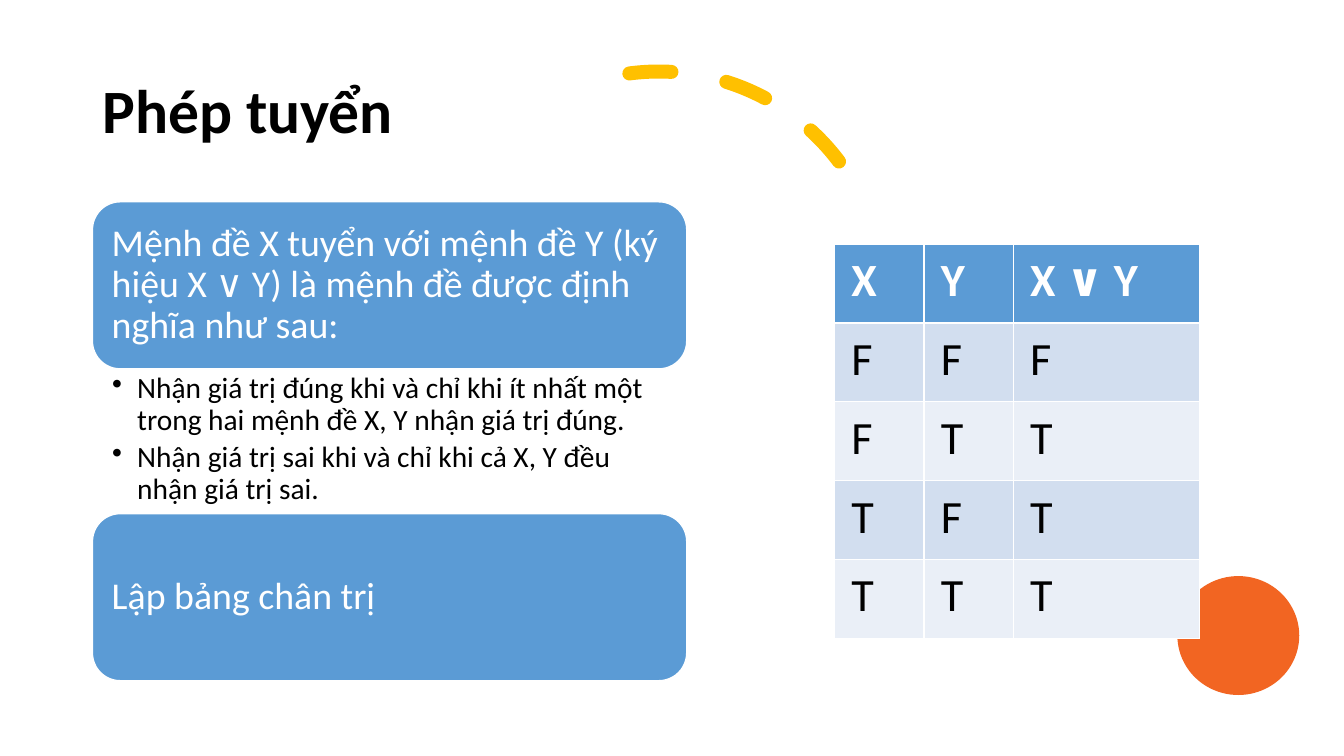
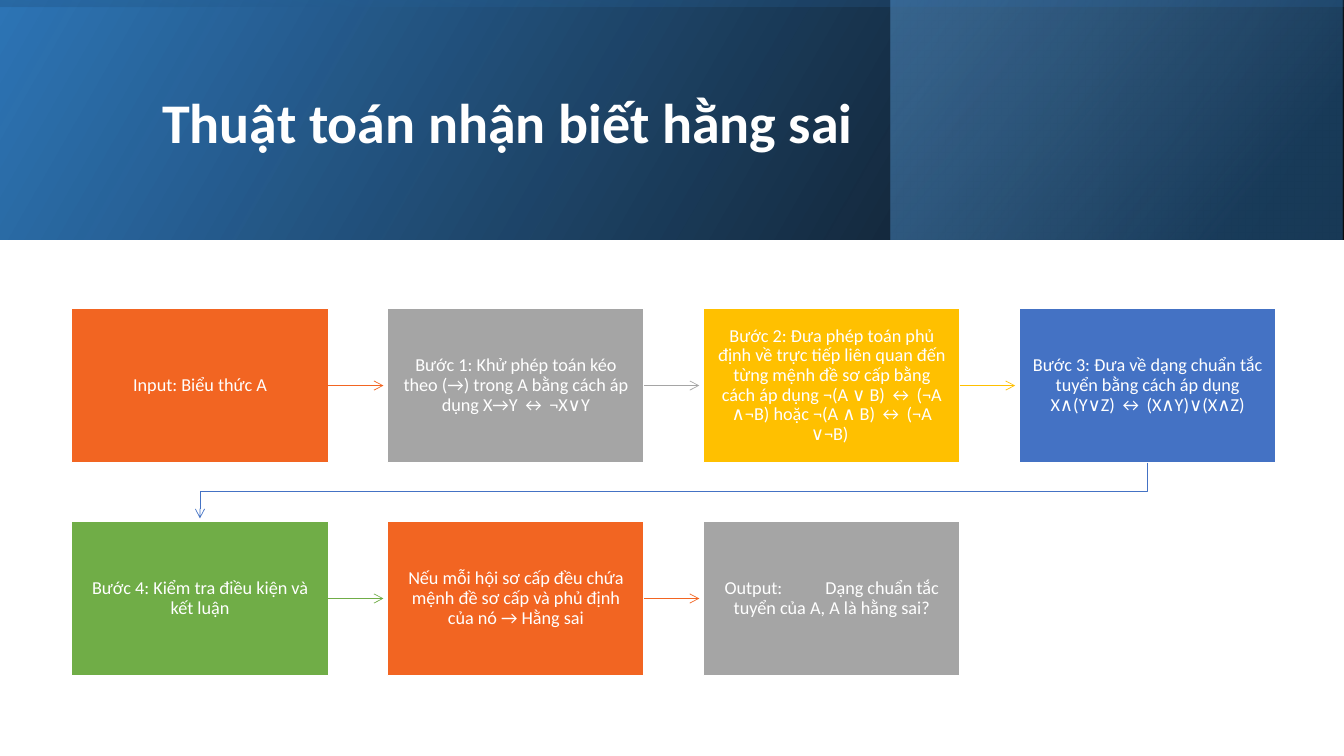
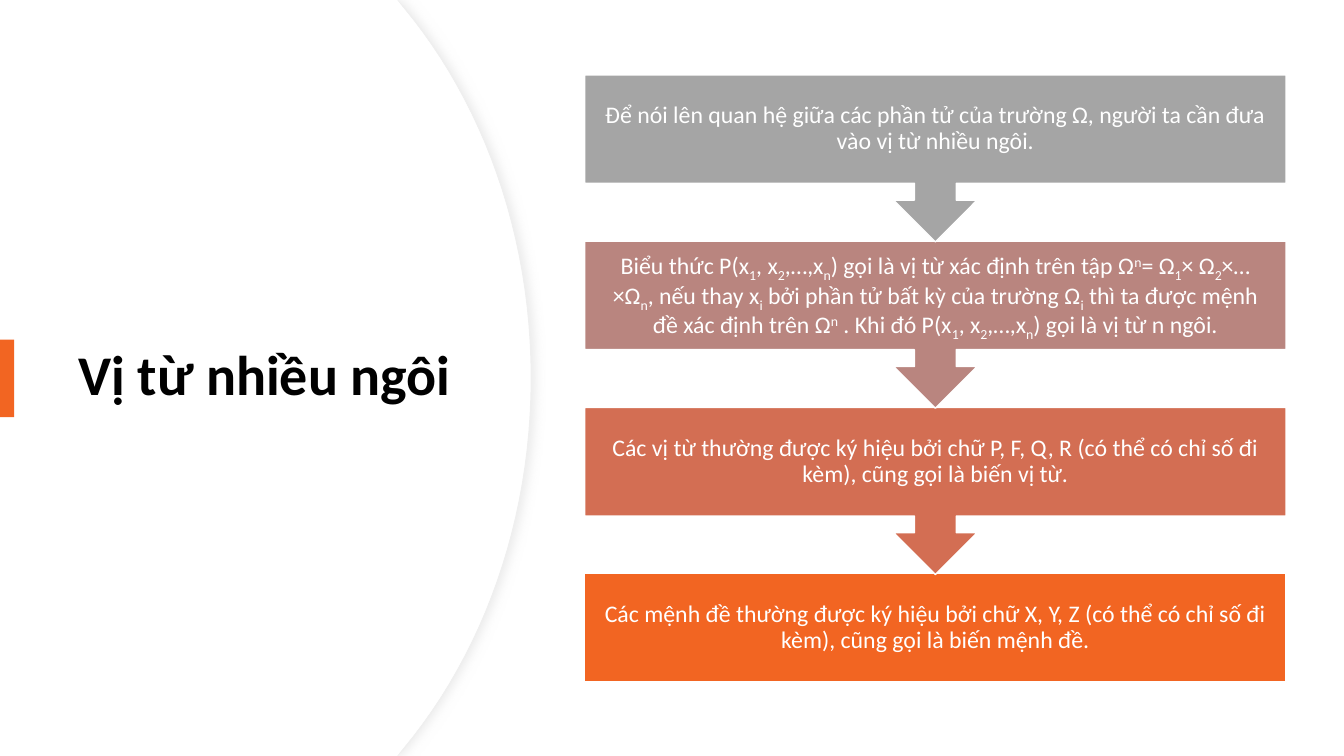
from dataclasses import dataclass

from pptx import Presentation
from pptx.dml.color import RGBColor
from pptx.enum.dml import MSO_LINE
from pptx.enum.shapes import MSO_CONNECTOR as CONN, MSO_SHAPE as SHAPE
from pptx.enum.text import MSO_ANCHOR as ANCHOR, PP_ALIGN as ALIGN
from pptx.oxml import parse_xml
from pptx.oxml.ns import nsdecls, qn
from pptx.util import Emu, Inches, Pt

A = nsdecls("a")
BASELINES = {"_": "-25000", "^": "30000"}


@dataclass(frozen=True)
class Theme:
    font: str = "Calibri"
    white: str = "FFFFFF"
    black: str = "000000"
    blue: str = "5B9BD5"
    mid_blue: str = "2E75B6"
    navy: str = "1F4E79"
    royal: str = "4472C4"
    orange: str = "F26522"
    terracotta: str = "D36E53"
    rose: str = "B9857F"
    gray: str = "A5A5A5"
    yellow: str = "FFC000"
    green: str = "70AD47"
    band_dark: str = "D2DEEF"
    band_light: str = "EAEFF7"
    edge: str = "EFEFEF"
    shade: str = "D9D9D9"
    title: int = 44
    title_small: int = 40
    cell: int = 33
    lead: int = 27
    bullet: int = 21
    body: int = 17
    step: int = 13


class Deck:
    """Draws themed elements, placed in percent of the slide's width and height."""

    def __init__(self, theme):
        self.t = theme
        self.prs = Presentation()
        self.prs.slide_width, self.prs.slide_height = Inches(13.33), Inches(7.5)
        self.s = None

    def new_slide(self):
        self.s = self.prs.slides.add_slide(self.prs.slide_layouts[6])

    def x(self, share):
        return Emu(round(self.prs.slide_width * share / 100))

    def y(self, share):
        return Emu(round(self.prs.slide_height * share / 100))

    def frame(self, x, y, w, h):
        return self.x(x), self.y(y), self.x(w), self.y(h)

    def paint(self, sp, fill=None, line=None, width=1):
        sp.shadow.inherit = False
        if fill:
            sp.fill.solid()
            sp.fill.fore_color.rgb = RGBColor.from_string(fill)
        else:
            sp.fill.background()
        if line:
            self.stroke(sp, line, width)
        else:
            sp.line.fill.background()

    def stroke(self, sp, color, width):
        sp.line.color.rgb = RGBColor.from_string(color)
        sp.line.width = Pt(width)

    def arrowhead(self, sp):
        ln = sp.element.spPr.find(qn("a:ln"))
        ln.append(parse_xml(f'<a:tailEnd {A} type="arrow"/>'))

    def set_text(self, tf, texts, size, color, bold=False, align=ALIGN.LEFT,
                 anchor=ANCHOR.MIDDLE, insets=(7.2, 3.6), spacing=0.9, bullets=False):
        tf.word_wrap = True
        tf.vertical_anchor = anchor
        tf.margin_left = tf.margin_right = Pt(insets[0])
        tf.margin_top = tf.margin_bottom = Pt(insets[1])
        for i, text in enumerate(texts):
            p = tf.add_paragraph() if i else tf.paragraphs[0]
            head, *parts = text.split("|")
            p.text = head
            for part in parts:
                r = p.add_run()
                r.text = part.lstrip("_^")
                if part[0] in BASELINES:
                    r._r.get_or_add_rPr().set("baseline", BASELINES[part[0]])
            p.alignment = align
            p.line_spacing = spacing
            for r in p.runs:
                f = r.font
                f.name, f.size, f.bold = self.t.font, Pt(size), bold
                f.color.rgb = RGBColor.from_string(color)
            if bullets:
                p.space_after = Pt(size * 0.2)
                pPr = p._p.get_or_add_pPr()
                pPr.set("marL", str(Inches(0.25)))
                pPr.set("indent", str(-Inches(0.25)))
                pPr.append(parse_xml(f'<a:buChar {A} char="•"/>'))

    def text(self, x, y, w, h, texts, size, color, **style):
        sp = self.s.shapes.add_textbox(*self.frame(x, y, w, h))
        self.set_text(sp.text_frame, texts, size, color, **style)

    def title(self, x, y, w, h, text, size, color):
        self.text(x, y, w, h, [text], size, color, bold=True)

    def shape(self, kind, x, y, w, h, fill=None, line=None, width=1):
        sp = self.s.shapes.add_shape(kind, *self.frame(x, y, w, h))
        self.paint(sp, fill, line, width)
        return sp

    def box(self, kind, x, y, w, h, fill, text, size, **style):
        sp = self.shape(kind, x, y, w, h, fill, self.t.white)
        self.set_text(sp.text_frame, [text], size, self.t.white, **style)
        return sp

    def gradient(self, x, y, w, h, stops, angle, rotation=0):
        sp = self.shape(SHAPE.RECTANGLE, x, y, w, h)
        sp.rotation = rotation
        spPr = sp.element.spPr
        spPr.find(qn("a:xfrm")).set("flipH", "1")
        gs = "".join(
            f'<a:gs pos="{pos * 1000}"><a:srgbClr val="{color}">'
            f'<a:alpha val="{alpha * 1000}"/></a:srgbClr></a:gs>'
            for pos, color, alpha in stops)
        spPr.replace(spPr.find(qn("a:noFill")), parse_xml(
            f'<a:gradFill {A} rotWithShape="1"><a:gsLst>{gs}</a:gsLst>'
            f'<a:lin ang="{angle * 60000}" scaled="0"/></a:gradFill>'))

    def dashed_arc(self, x, y, w, h, color, width, rotation, start, end):
        sp = self.shape(SHAPE.ARC, x, y, w, h, None, color, width)
        sp.adjustments[0], sp.adjustments[1] = start, end
        sp.rotation = rotation
        sp.line.dash_style = MSO_LINE.DASH
        spPr = sp.element.spPr
        spPr.find(qn("a:xfrm")).set("flipV", "1")
        spPr.find(qn("a:ln")).set("cap", "rnd")

    def outline(self, points, fill=None, line=None, width=1, close=True):
        start, *rest = [(self.x(x), self.y(y)) for x, y in points]
        builder = self.s.shapes.build_freeform(*start, scale=1.0)
        builder.add_line_segments(rest, close=close)
        sp = builder.convert_to_shape()
        self.paint(sp, fill, line, width)
        return sp

    def soft_shadow(self, sp, color):
        sp.element.spPr.find(qn("a:effectLst")).append(parse_xml(
            f'<a:outerShdw {A} blurRad="{Pt(7)}" dist="{Pt(3)}" dir="0" rotWithShape="0">'
            f'<a:srgbClr val="{color}"><a:alpha val="50000"/></a:srgbClr></a:outerShdw>'))

    def arrow(self, box, x, y, color):
        c = self.s.shapes.add_connector(CONN.STRAIGHT, 0, 0, self.x(x), self.y(y))
        c.begin_connect(box, 3)
        self.stroke(c, color, 0.5)
        self.arrowhead(c)
        c.element.spPr.append(parse_xml(f"<a:effectLst {A}/>"))

    def table(self, x, y, widths, row_height, rows):
        t = self.t
        tbl = self.s.shapes.add_table(
            len(rows), len(widths),
            *self.frame(x, y, sum(widths), row_height * len(rows))).table
        for col, width in zip(tbl.columns, widths):
            col.width = self.x(width)
        for i, row in enumerate(rows):
            tbl.rows[i].height = self.y(row_height)
            fill = (t.band_dark if i % 2 else t.band_light) if i else t.blue
            for j, value in enumerate(row):
                cell = tbl.cell(i, j)
                cell.fill.solid()
                cell.fill.fore_color.rgb = RGBColor.from_string(fill)
                self.set_text(cell.text_frame, [value], t.cell, t.black if i else t.white,
                              bold=not i, spacing=1.0)
                cell.vertical_anchor = ANCHOR.TOP
                cell.margin_left = cell.margin_right = Pt(12)
                cell.margin_top = cell.margin_bottom = Pt(6)


def bezier(a, b, c, d, steps=24):
    for i in range(steps + 1):
        u = i / steps
        v = 1 - u
        yield tuple(v**3 * m + 3 * v * v * u * n + 3 * v * u * u * o + u**3 * q
                    for m, n, o, q in zip(a, b, c, d))


def disjunction(d):
    t = d.t
    d.new_slide()
    d.dashed_arc(32.25, 9.47, 33.53, 59.6, t.yellow, 10, 233.1, 162, 200.93)
    d.title(6.88, 5.32, 86.25, 19.33, "Phép tuyển", t.title, t.black)
    left, width, height = 6.88, 44.22, 22.1
    for top, text in (
            (26.7, "Mệnh đề X tuyển với mệnh đề Y (ký hiệu X ∨ Y) là mệnh đề được định nghĩa như sau:"),
            (67.95, "Lập bảng chân trị")):
        d.box(SHAPE.ROUNDED_RECTANGLE, left, top, width, height, t.blue, text, t.lead,
              insets=(8, 8))
    d.text(left, 48.8, width, 19.2, [
        "Nhận giá trị đúng khi và chỉ khi ít nhất một trong hai mệnh đề X, Y nhận giá trị đúng.",
        "Nhận giá trị sai khi và chỉ khi cả X, Y đều nhận giá trị sai.",
    ], t.bullet, t.black, anchor=ANCHOR.TOP, insets=(14, 3), bullets=True)
    d.shape(SHAPE.OVAL, 87.6, 76.2, 9.07, 15.73, t.orange)
    d.table(62.1, 32.3, (6.65, 6.65, 13.85), 10.43,
            [("X", "Y", "X ∨ Y"), *("FFF", "FTT", "TFT", "TTT")])


def contradiction_steps(d):
    t = d.t
    d.new_slide()
    band = 31.7
    d.gradient(0, 0, 100, band, [(0, t.black, 96), (100, t.mid_blue, 100)], 330)
    d.gradient(66.3, 0, 33.6, band, [(19, t.navy, 68), (100, t.blue, 48)], 320)
    d.gradient(41.1, -73.07, 17.8, 177.73, [(23, t.mid_blue, 16), (99, t.black, 45)],
               350, rotation=270)
    d.title(11.33, 5.07, 79.73, 22.93, "Thuật toán nhận biết hằng sai",
            t.title_small, t.white)
    steps = [
        (t.orange, "Input: Biểu thức A"),
        (t.gray, "Bước 1: Khử phép toán kéo theo (→) trong A bằng cách áp dụng X→Y ↔ ¬X∨Y"),
        (t.yellow, "Bước 2: Đưa phép toán phủ định về trực tiếp liên quan đến từng mệnh đề sơ cấp "
                   "bằng cách áp dụng ¬(A ∨ B) ↔ (¬A ∧¬B) hoặc ¬(A ∧ B) ↔ (¬A ∨¬B) "),
        (t.royal, "Bước 3: Đưa về dạng chuẩn tắc tuyển bằng cách áp dụng X∧(Y∨Z) ↔ (X∧Y)∨(X∧Z)"),
        (t.green, "Bước 4: Kiểm tra điều kiện và kết luận"),
        (t.orange, "Nếu mỗi hội sơ cấp đều chứa mệnh đề sơ cấp và phủ định của nó → Hằng sai"),
        (t.gray, "Output:\tDạng chuẩn tắc tuyển của A, A là hằng sai?"),
    ]
    per_row, left, top, width, height = 4, 5.33, 40.8, 19.1, 20.4
    col_step, row_step = 23.5, 28.17
    for i, (color, text) in enumerate(steps):
        row, col = divmod(i, per_row)
        x, y = left + col * col_step, top + row * row_step
        box = d.box(SHAPE.RECTANGLE, x, y, width, height, color, text, t.step,
                    align=ALIGN.CENTER, insets=(8.6, 9.4))
        if i == len(steps) - 1:
            continue
        if col < per_row - 1:
            d.arrow(box, x + col_step - 0.3, y + height / 2, color)
        else:
            start, end = x + width / 2, left + width / 2
            bottom, turn, tip = y + height, y + 24.25, y + row_step - 0.4
            elbow = d.outline([(start, bottom), (start, turn), (end, turn), (end, tip)],
                              None, color, 0.5, close=False)
            d.arrowhead(elbow)


def predicates(d):
    t = d.t
    d.new_slide()
    for shift, edge in ((0, t.edge), (-0.08, None)):
        upper = [(x + shift, y) for x, y in bezier(
            (30.08, 1.07), (35.93, 13.6), (39.53, 30.93), (39.53, 50))]
        half = [(0, 0), (29.55, 0), *upper]
        lower = [(x, 100 - y) for x, y in reversed(half[:-1])]
        panel = d.outline(half + lower, t.white, edge, 0.75)
        if edge:
            d.soft_shadow(panel, t.shade)
    d.title(5.1, 16.93, 29.55, 66, "Vị từ nhiều ngôi", t.title_small, t.black)
    d.shape(SHAPE.RECTANGLE, 0, 44.93, 1.05, 10.27, t.orange)
    notes = [
        (t.gray, "Để nói lên quan hệ giữa các phần tử của trường Ω, người ta cần đưa vào vị từ nhiều ngôi."),
        (t.rose, "Biểu thức P(x|_1|, x|_2|,…,x|_n|) gọi là vị từ xác định trên tập Ω|^n|= Ω|_1|× Ω|_2|×… ×Ω|_n|"
                 ", nếu thay x|_i| bởi phần tử bất kỳ của trường Ω|_i| thì ta được mệnh đề xác định trên Ω|^n"
                 "| . Khi đó P(x|_1|, x|_2|,…,x|_n|) gọi là vị từ n ngôi."),
        (t.terracotta, "Các vị từ thường được ký hiệu bởi chữ P, F, Q, R (có thể có chỉ số đi kèm), cũng gọi là biến vị từ."),
        (t.orange, "Các mệnh đề thường được ký hiệu bởi chữ X, Y, Z (có thể có chỉ số đi kèm), cũng gọi là biến mệnh đề."),
    ]
    last = len(notes) - 1
    for i, (color, text) in reversed(list(enumerate(notes))):
        kind, height = ((SHAPE.RECTANGLE, 14.33) if i == last
                        else (SHAPE.DOWN_ARROW_CALLOUT, 22.1))
        d.box(kind, 43.5, 9.9 + i * 22, 52.2, height, color, text, t.body,
              align=ALIGN.CENTER, insets=(9.4, 9.4))


def main():
    d = Deck(Theme())
    disjunction(d)
    contradiction_steps(d)
    predicates(d)
    d.prs.save("out.pptx")


if __name__ == "__main__":
    main()
